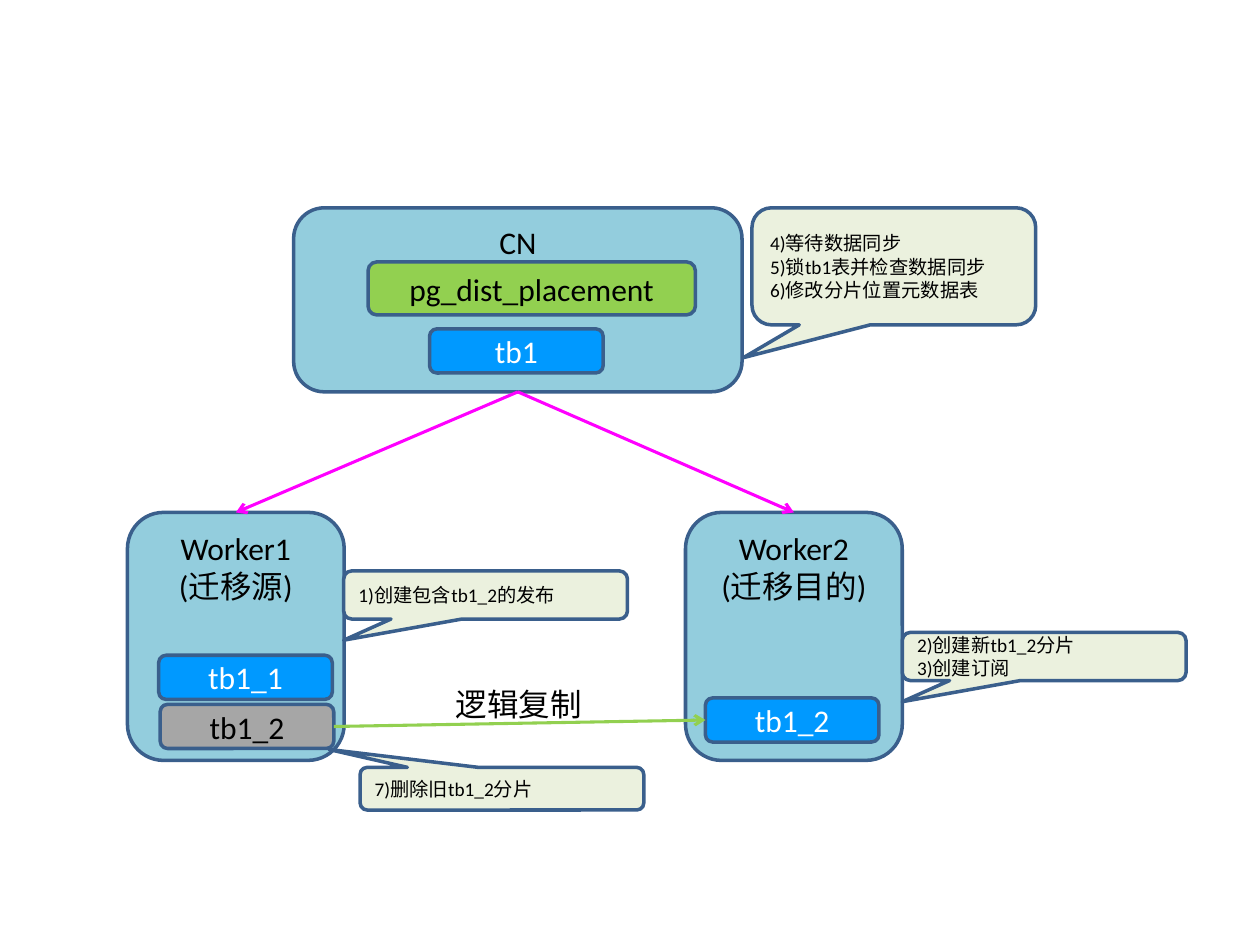
from pptx import Presentation
from pptx.dml.color import RGBColor
from pptx.enum.shapes import MSO_CONNECTOR, MSO_SHAPE
from pptx.enum.text import MSO_ANCHOR, MSO_AUTO_SIZE, PP_ALIGN
from pptx.oxml.ns import qn
from pptx.util import Cm, Pt
from lxml.etree import SubElement

COLORS = {
    "node": "93CDDD", "outline": "3A5F8C", "shard": "0099FF", "old": "A6A6A6",
    "meta": "92D050", "note": "EBF1DE", "route": "FF00FF",
    "black": "000000", "white": "FFFFFF",
}
TOP, BOTTOM, LEFT, RIGHT = 0, 2, 1, 3  # connection sites of a rounded rectangle


def color(name):
    """Return the named colour."""
    return RGBColor.from_string(COLORS[name])


class Diagram:
    """Holds the slide and the style shared by its elements."""

    font = "Calibri"
    shard_size = (3.5, 0.89)
    note_width = 5.72

    def __init__(self, slide):
        self.slide = slide

    def add_lines(self, frame, lines, size=18, ink="black", align=PP_ALIGN.CENTER):
        """Add one paragraph per line."""
        for index, line in enumerate(lines):
            paragraph = frame.add_paragraph() if index else frame.paragraphs[0]
            paragraph.alignment = align
            run = paragraph.add_run()
            run.text = line
            run.font.name = self.font
            run.font.size = Pt(size)
            run.font.color.rgb = color(ink)

    def box(self, left, top, width, height, lines, fill, anchor=MSO_ANCHOR.MIDDLE,
            kind=MSO_SHAPE.ROUNDED_RECTANGLE, **text):
        """Add an outlined shape with text."""
        shape = self.slide.shapes.add_shape(
            kind, Cm(left), Cm(top), Cm(width), Cm(height))
        shape.shadow.inherit = False
        shape.fill.solid()
        shape.fill.fore_color.rgb = color(fill)
        shape.line.color.rgb = color("outline")
        shape.line.width = Pt(2)
        shape.text_frame.vertical_anchor = anchor
        self.add_lines(shape.text_frame, lines, **text)
        return shape

    def node(self, left, top, width, height, *lines):
        """Add a server with its name at the top."""
        return self.box(left, top, width, height, lines, "node", MSO_ANCHOR.TOP)

    def shard(self, left, top, name, fill="shard", ink="white"):
        """Add a table or shard."""
        return self.box(left, top, *self.shard_size, [name], fill, ink=ink)

    def note(self, left, top, height, pointer, *lines):
        """Add a callout whose tip lies at the pointer offsets."""
        callout = self.box(left, top, self.note_width, height, lines, "note",
                           kind=MSO_SHAPE.ROUNDED_RECTANGULAR_CALLOUT,
                           size=11, align=PP_ALIGN.LEFT)
        for index, value in enumerate(pointer):
            callout.adjustments[index] = value

    def arrow(self, source, source_site, target, target_site, ink):
        """Connect two shapes with an open arrowhead at the target."""
        link = self.slide.shapes.add_connector(MSO_CONNECTOR.STRAIGHT, 0, 0, 0, 0)
        link.begin_connect(source, source_site)
        link.end_connect(target, target_site)
        link.line.color.rgb = color(ink)
        link.line.width = Pt(1.75)
        properties = link.element.spPr
        SubElement(properties.find(qn("a:ln")), qn("a:tailEnd"), type="arrow")
        SubElement(properties, qn("a:effectLst"))

    def label(self, left, top, width, height, line):
        """Add free text on one line."""
        frame = self.slide.shapes.add_textbox(
            Cm(left), Cm(top), Cm(width), Cm(height)).text_frame
        frame.word_wrap = False
        frame.auto_size = MSO_AUTO_SIZE.SHAPE_TO_FIT_TEXT
        self.add_lines(frame, [line], align=PP_ALIGN.LEFT)


def main():
    """Build the shard migration slide."""
    deck = Presentation()
    deck.slide_width, deck.slide_height = Cm(25.4), Cm(19.05)
    diagram = Diagram(deck.slides.add_slide(deck.slide_layouts[6]))

    source = diagram.node(2.57, 10.33, 4.37, 5, "Worker1", "(迁移源)")
    coordinator = diagram.node(5.92, 4.19, 9.04, 3.71, "CN")
    target = diagram.node(13.82, 10.33, 4.37, 5, "Worker2", "(迁移目的)")
    for worker in (target, source):
        diagram.arrow(coordinator, BOTTOM, worker, TOP, "route")

    diagram.shard(8.66, 6.63, "tb1")
    diagram.shard(3.2, 13.21, "tb1_1")
    old_shard = diagram.shard(3.23, 14.2, "tb1_2", "old", "black")
    new_shard = diagram.shard(14.22, 14.07, "tb1_2")
    diagram.arrow(old_shard, RIGHT, new_shard, LEFT, "meta")
    diagram.label(8.94, 13.69, 3.07, 1.02, "逻辑复制")
    diagram.box(7.42, 5.28, 6.6, 1.07, ["pg_dist_placement"], "meta")

    below_left = (-0.5, 0.94)
    diagram.note(6.93, 11.51, 0.97, below_left, "1)创建包含tb1_2的发布")
    diagram.note(18.19, 12.75, 0.97, below_left, "2)创建新tb1_2分片", "3)创建订阅")
    diagram.note(15.16, 4.19, 2.36, (-0.53, 0.78), "4)等待数据同步",
                 "5)锁tb1表并检查数据同步", "6)修改分片位置元数据表")
    diagram.note(7.26, 15.47, 0.86, (-0.61, -0.92), "7)删除旧tb1_2分片")

    deck.save("out.pptx")


main()
